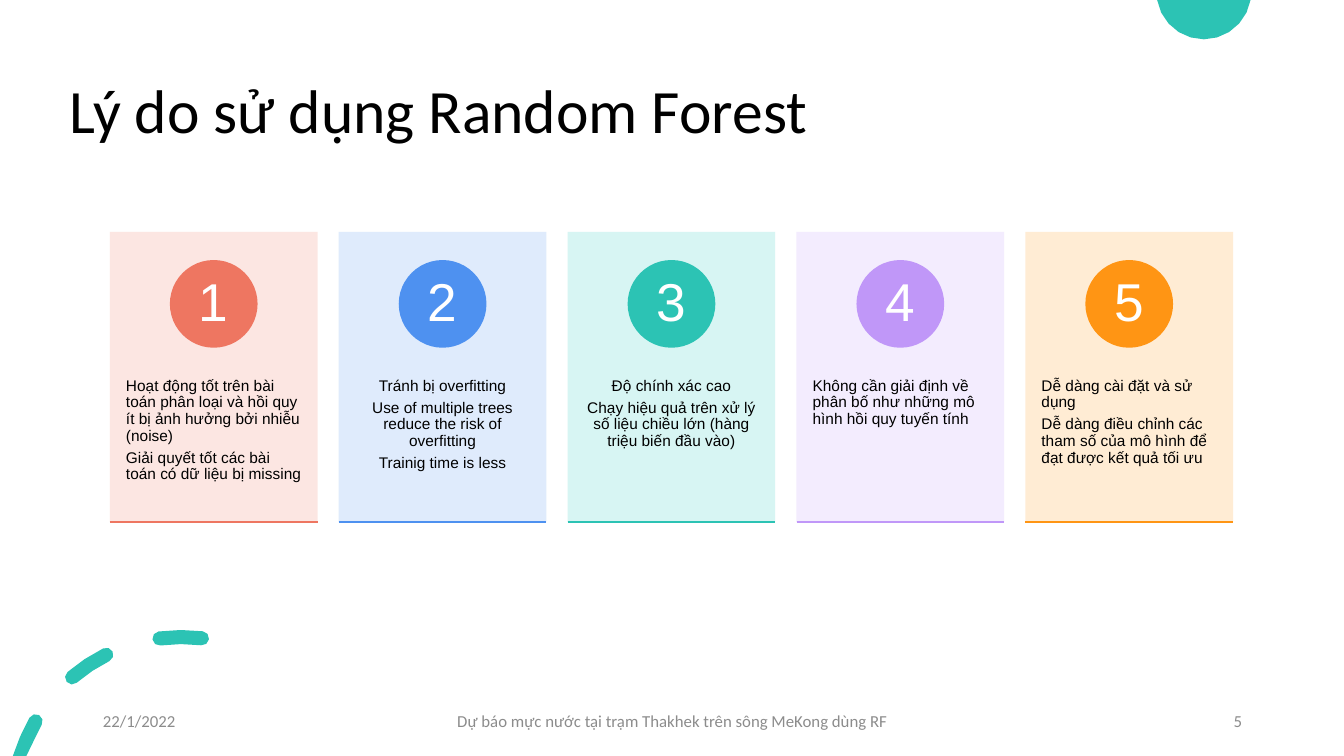
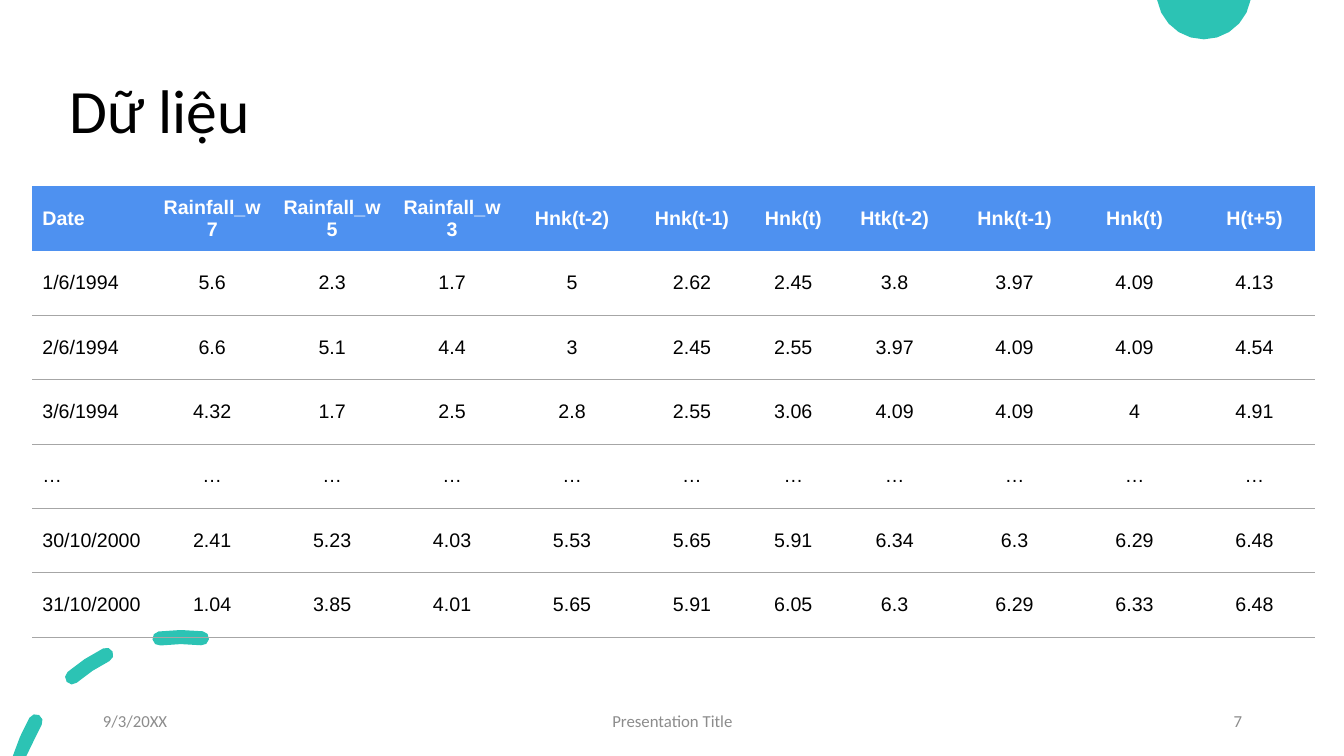
import copy
import dataclasses
import math

import pptx
import pptx.dml.color
import pptx.enum.shapes
import pptx.enum.text
import pptx.oxml
import pptx.oxml.ns
import pptx.util

ALIGN = pptx.enum.text.PP_ALIGN
MIDDLE = pptx.enum.text.MSO_ANCHOR.MIDDLE
FIXED = pptx.enum.text.MSO_AUTO_SIZE.NONE
SHAPE = pptx.enum.shapes.MSO_SHAPE
NO_TABLE_STYLE = "{2D5ABB26-0587-4C30-8999-92F81FD0307C}"


@dataclasses.dataclass(frozen=True)
class Style:
    font: str
    size: int
    color: str
    bold: bool = False


@dataclasses.dataclass(frozen=True)
class Theme:
    coral: str = "EE7661"
    blue: str = "4E91F0"
    teal: str = "2CC3B4"
    violet: str = "C097F8"
    orange: str = "FF9514"
    grid: str = "A6A6A6"
    title: Style = Style("Calibri", 44, "000000")
    footer: Style = Style("Calibri", 12, "8C8C8C")
    card: Style = Style("Arial", 11, "000000")
    number: Style = Style("Arial", 38, "FFFFFF")
    header: Style = Style("Arial", 14, "FFFFFF", True)
    cell: Style = Style("Arial", 14, "000000")


THEME = Theme()

# Layout placeholder index: (box, alignment)
TITLE_BOX = (59, 40, 1150, 145)
FOOTERS = {
    10: ((92, 695, 300, 40), ALIGN.LEFT),
    11: ((442, 695, 450, 40), ALIGN.CENTER),
    12: ((942, 695, 300, 40), ALIGN.RIGHT),
}

# Accent, pale tint, alignment, paragraphs
CARDS = [
    (THEME.coral, "FCE4DF", ALIGN.LEFT, [
        "Hoạt động tốt trên bài toán phân loại và hồi quy ít bị ảnh hưởng bởi nhiễu (noise)",
        "Giải quyết tốt các bài toán có dữ liệu bị missing"]),
    (THEME.blue, "DCE9FC", ALIGN.CENTER, [
        "Tránh bị overfitting",
        "Use of multiple trees reduce the risk of overfitting",
        "Trainig time is less"]),
    (THEME.teal, "D3F5F2", ALIGN.CENTER, [
        "Độ chính xác cao",
        "Chạy hiệu quả trên xử lý số liệu chiều lớn (hàng triệu biến đầu vào)"]),
    (THEME.violet, "F2EAFE", ALIGN.LEFT, [
        "Không cần giải định về phân bố như những mô hình hồi quy tuyến tính"]),
    (THEME.orange, "FFEAD0", ALIGN.LEFT, [
        "Dễ dàng cài đặt và sử dụng",
        "Dễ dàng điều chỉnh các tham số của mô hình để đạt được kết quả tối ưu"]),
]

DATA = [
    ["Date", "Rainfall_w7", "Rainfall_w5", "Rainfall_w3", "Hnk(t-2)", "Hnk(t-1)",
     "Hnk(t)", "Htk(t-2)", "Hnk(t-1)", "Hnk(t)", "H(t+5)"],
    ["1/6/1994", "5.6", "2.3", "1.7", "5", "2.62", "2.45", "3.8", "3.97", "4.09", "4.13"],
    ["2/6/1994", "6.6", "5.1", "4.4", "3", "2.45", "2.55", "3.97", "4.09", "4.09", "4.54"],
    ["3/6/1994", "4.32", "1.7", "2.5", "2.8", "2.55", "3.06", "4.09", "4.09", "4", "4.91"],
    ["…"] * 11,
    ["30/10/2000", "2.41", "5.23", "4.03", "5.53", "5.65", "5.91", "6.34", "6.3", "6.29", "6.48"],
    ["31/10/2000", "1.04", "3.85", "4.01", "5.65", "5.91", "6.05", "6.3", "6.29", "6.33", "6.48"],
]


def px(n):
    """100 px make one inch."""
    return pptx.util.Emu(round(n * 9144))


def rgb(color):
    return pptx.dml.color.RGBColor.from_string(color)


def set_all(obj, values):
    for name, value in values.items():
        setattr(obj, name, value)


def place(sp, box):
    set_all(sp, dict(zip(("left", "top", "width", "height"), map(px, box))))


def write(tf, lines, style, align, para=None, frame=None):
    set_all(tf, frame or {})
    tf.text = "\n".join(lines)
    for p in tf.paragraphs:
        set_all(p, {"alignment": align, **(para or {})})
        for r in p.runs:
            set_all(r.font, {"name": style.font, "size": pptx.util.Pt(style.size),
                             "bold": style.bold})
            r.font.color.rgb = rgb(style.color)


def insets(x, y):
    return {"margin_left": px(x), "margin_right": px(x),
            "margin_top": px(y), "margin_bottom": px(y)}


def paint(sp, color):
    sp.shadow.inherit = False
    sp.fill.solid()
    sp.fill.fore_color.rgb = rgb(color)
    sp.line.fill.background()


def add_filled(slide, kind, box, color):
    sp = slide.shapes.add_shape(kind, *map(px, box))
    paint(sp, color)
    return sp


def set_opacity(sp, percent):
    clr = sp.element.spPr.find(".//" + pptx.oxml.ns.qn("a:srgbClr"))
    clr.append(pptx.oxml.parse_xml(
        f'<a:alpha {pptx.oxml.ns.nsdecls("a")} val="{percent * 1000}"/>'))


def arc(cx, cy, radius, start, end, steps):
    """Points on a circle; degrees run clockwise from the top."""
    angles = [math.radians(start + (end - start) * i / steps) for i in range(steps + 1)]
    return [(cx + radius * math.sin(a), cy - radius * math.cos(a)) for a in angles]


def dash(start, end):
    """Outline of a round-capped piece of the corner ring, cut at the slide's foot."""
    cx, cy, radius, half = 180, 799, 167, 7
    (x0, y0), (x1, y1) = arc(cx, cy, radius, start, end, 1)
    points = (arc(cx, cy, radius + half, start, end, 2)
              + arc(x1, y1, half, end, end + 180, 4)[1:]
              + arc(cx, cy, radius - half, end, start, 2)[1:]
              + arc(x0, y0, half, start + 180, start + 360, 4)[1:-1])
    return [(x, min(y, 750)) for x, y in points]


def add_outlines(slide, outlines, color):
    outlines = [[(px(x), px(y)) for x, y in points] for points in outlines]
    builder = slide.shapes.build_freeform(*outlines[0][0])
    for i, points in enumerate(outlines):
        if i:
            builder.move_to(*points[0])
        builder.add_line_segments(points[1:])
    sp = builder.convert_to_shape()
    paint(sp, color)
    return sp


def decorate(layout, slide):
    """Draw the teal ornaments on a slide and move them into its layout."""
    cut = math.degrees(math.acos(-8 / 47))
    disc = arc(1194, -8, 47, cut, 360 - cut, 10)
    dashes = [dash(-74, -60), dash(-40.5, -26.5), dash(-7.5, 7)]
    for outlines in ([disc], dashes):
        sp = add_outlines(slide, outlines, THEME.teal)
        layout.shapes.element.insert(2, sp.element)


def prepare_layout(prs):
    layout = prs.slide_layouts.get_by_name("Title Only")
    for ph in layout.placeholders:
        idx = ph.placeholder_format.idx
        place(ph, FOOTERS[idx][0] if idx in FOOTERS else TITLE_BOX)
    return layout


def add_slide(prs, layout, title, footers):
    slide = prs.slides.add_slide(layout)
    write(slide.shapes.title.text_frame, [title], THEME.title, ALIGN.LEFT,
          {"line_spacing": 0.9}, {"vertical_anchor": MIDDLE})
    for ph in layout.placeholders:
        if ph.placeholder_format.idx in FOOTERS:
            slide.shapes.element.append(copy.deepcopy(ph.element))
    for (idx, (_, align)), text in zip(FOOTERS.items(), footers):
        write(slide.placeholders[idx].text_frame, [text], THEME.footer, align,
              frame={"vertical_anchor": MIDDLE})
    return slide


def add_rule(slide, x, y, width, color):
    line = slide.shapes.add_connector(pptx.enum.shapes.MSO_CONNECTOR.STRAIGHT,
                                      px(x), px(y), px(x + width), px(y))
    line.line.width = pptx.util.Pt(1)
    line.line.color.rgb = rgb(color)
    line.element.spPr.append(pptx.oxml.parse_xml(
        f'<a:effectLst {pptx.oxml.ns.nsdecls("a")}/>'))


def add_card(slide, x, number, accent, tint, align, lines):
    top, width, height, circle = 230, 206, 288, 87
    panel = add_filled(slide, SHAPE.RECTANGLE, (x, top, width, height), tint)
    set_opacity(panel, 90)
    para = {"line_spacing": 0.9, "space_after": pptx.util.Pt(3.85)}
    body = slide.shapes.add_textbox(*map(px, (x, top + 109, width, 173)))
    write(body.text_frame, lines, THEME.card, align, para,
          {"word_wrap": True, "auto_size": FIXED, **insets(16, 36)})
    badge = add_filled(slide, SHAPE.OVAL,
                       (x + (width - circle) / 2, top + 28, circle, circle), accent)
    write(badge.text_frame, [str(number)], THEME.number, ALIGN.CENTER,
          {"line_spacing": 0.9}, {"vertical_anchor": MIDDLE, **insets(7, 1)})
    add_rule(slide, x, top + height, width, accent)


def add_bottom_border(cell, color, width):
    tc_pr = cell._tc.get_or_add_tcPr()
    tc_pr.insert(0, pptx.oxml.parse_xml(
        f'<a:lnB {pptx.oxml.ns.nsdecls("a")} w="{pptx.util.Pt(width)}">'
        f'<a:solidFill><a:srgbClr val="{color}"/></a:solidFill></a:lnB>'))


def add_data_table(slide, rows, left, top, widths, height):
    frame = slide.shapes.add_table(len(rows), len(widths), px(left), px(top),
                                   px(sum(widths)), px(height))
    table = frame.table
    table.horz_banding = False
    frame.element.find(".//" + pptx.oxml.ns.qn("a:tableStyleId")).text = NO_TABLE_STYLE
    for column, width in zip(table.columns, widths):
        column.width = px(width)
    for i, values in enumerate(rows):
        table.rows[i].height = px(height / len(rows))
        for j, value in enumerate(values):
            cell = table.cell(i, j)
            cell.vertical_anchor = MIDDLE
            write(cell.text_frame, [value], THEME.cell if i else THEME.header,
                  ALIGN.CENTER if j else ALIGN.LEFT)
            if i:
                cell.fill.background()
                add_bottom_border(cell, THEME.grid, 0.25)
            else:
                cell.fill.solid()
                cell.fill.fore_color.rgb = rgb(THEME.blue)


def main():
    prs = pptx.Presentation()
    set_all(prs, {"slide_width": px(1333), "slide_height": px(750)})
    layout = prepare_layout(prs)

    reasons = add_slide(prs, layout, "Lý do sử dụng Random Forest", [
        "22/1/2022", "Dự báo mực nước tại trạm Thakhek trên sông MeKong dùng RF", "5"])
    decorate(layout, reasons)
    for i, card in enumerate(CARDS):
        add_card(reasons, 109 + 227 * i, i + 1, *card)

    data = add_slide(prs, layout, "Dữ liệu", ["9/3/20XX", "Presentation Title", "7"])
    add_data_table(data, DATA, 32, 185, [119] * 6 + [82] + [119] * 4, 447)

    prs.save("out.pptx")


if __name__ == "__main__":
    main()
